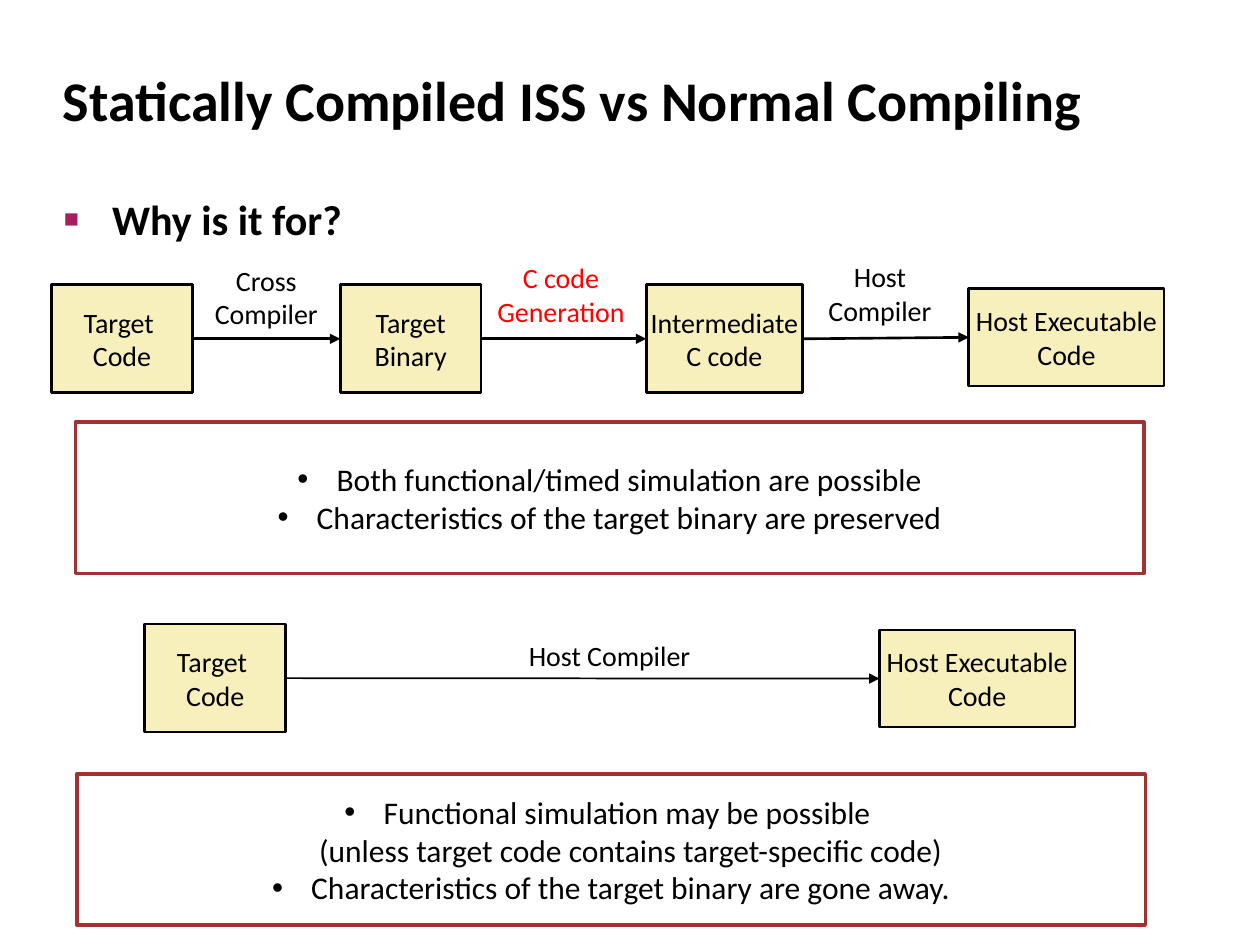
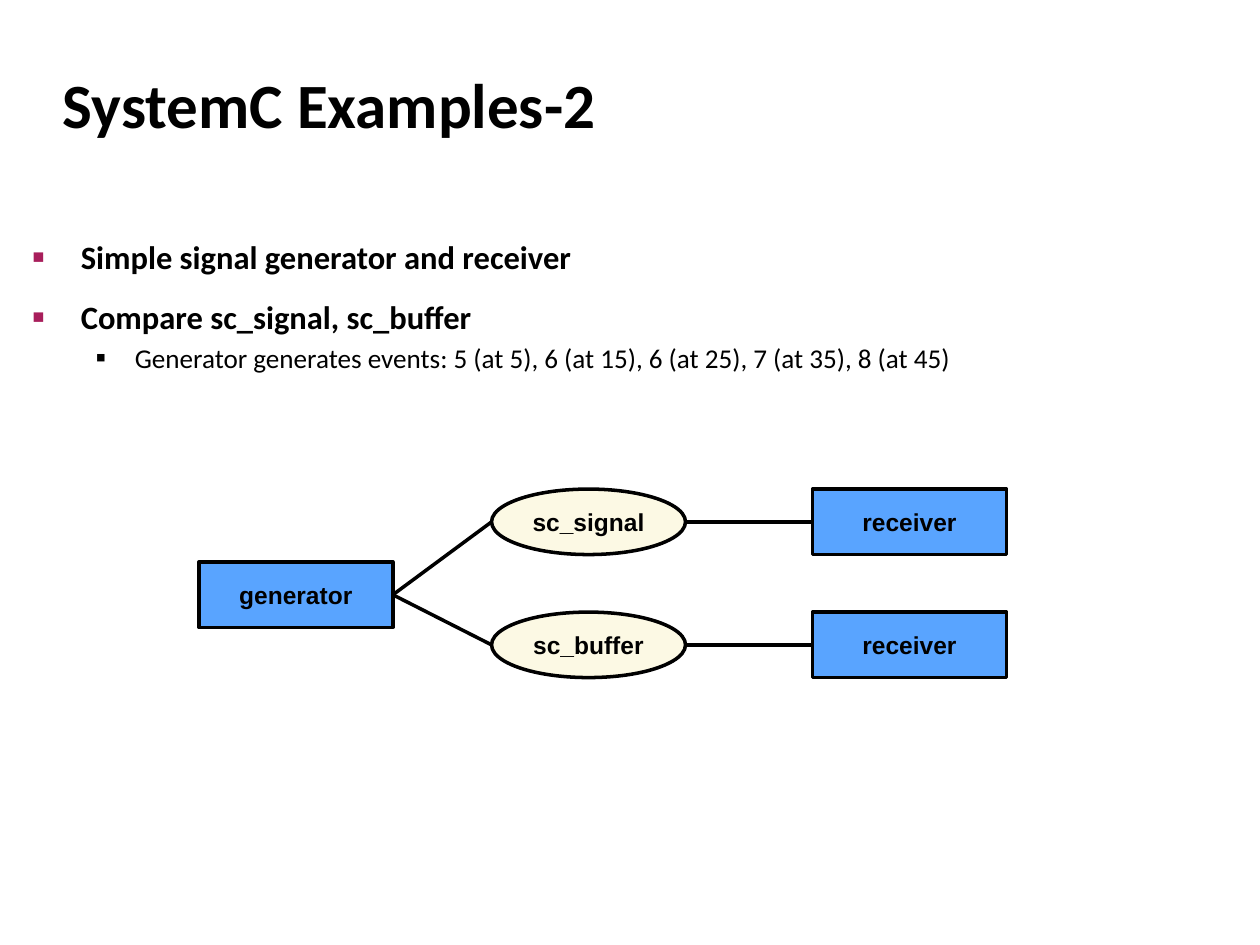
from dataclasses import dataclass
from typing import Optional

from lxml import etree
from pptx import Presentation
from pptx import util as u
from pptx.dml.color import RGBColor
from pptx.enum import shapes, text
from pptx.oxml.ns import qn

BLACK, WHITE, RED = "000000", "FFFFFF", "FF0000"
CREAM, IVORY, BLUE = "F7F0BC", "FCF9E4", "59A4FF"
BROWN, PLUM = "A03232", "A81E5B"
RECT, OVAL = shapes.MSO_SHAPE.RECTANGLE, shapes.MSO_SHAPE.OVAL
LEFT, MID = text.PP_ALIGN.LEFT, text.PP_ALIGN.CENTER


@dataclass(frozen=True)
class Face:
    size: float
    name: str = "Calibri"
    bold: bool = False
    tint: str = BLACK


@dataclass(frozen=True)
class Mark:
    char: str
    left: float
    hang: float
    scale: int = 100
    tint: str = BLACK


@dataclass(frozen=True)
class Style:
    face: Face
    fill: str
    edge: str = BLACK
    width: float = 1.5
    kind: int = RECT
    inset: Optional[float] = 0
    mark: Optional[Mark] = None


@dataclass(frozen=True)
class Box:
    words: str
    x: float
    y: float
    w: float
    h: float
    style: Style


@dataclass(frozen=True)
class Label:
    words: str
    x: float
    y: float
    w: float
    h: float
    tint: str = BLACK


@dataclass(frozen=True)
class Item:
    words: str
    face: Face
    mark: Mark
    before: float = 12


SQUARE = Mark("■", 0.97, 0.97, 60, PLUM)
SMALL = Mark("▪", 2.06, 0.79, 110)
DOT = Mark("•", 0.79, 0.79)
STEP = Style(Face(16), CREAM)
NOTE = Style(Face(18), WHITE, BROWN, 2, mark=DOT)
NODE = Style(Face(14, "Arial", True), BLUE, width=2, inset=None)
PIPE = Style(NODE.face, IVORY, width=2, kind=OVAL, inset=None)


def color(code: str) -> RGBColor:
    return RGBColor.from_string(code)


def bullet(para, mark: Mark) -> None:
    props = para._p.get_or_add_pPr()
    props.set("marL", str(u.Cm(mark.left)))
    props.set("indent", str(-u.Cm(mark.hang)))
    tint = etree.SubElement(props, qn("a:buClr"))
    etree.SubElement(tint, qn("a:srgbClr"), val=mark.tint)
    etree.SubElement(props, qn("a:buSzPct"), val=str(mark.scale * 1000))
    etree.SubElement(props, qn("a:buFont"), typeface="Arial")
    etree.SubElement(props, qn("a:buChar"), char=mark.char)


def dress(para, face: Face, align=LEFT, mark: Optional[Mark] = None) -> None:
    if mark:
        bullet(para, mark)
    para.alignment = align
    font = para.font
    font.size, font.name, font.bold = u.Pt(face.size), face.name, face.bold
    font.color.rgb = color(face.tint)


def field(slide, x: float, y: float, w: float, h: float, wrap: bool = True):
    frame = slide.shapes.add_textbox(u.Cm(x), u.Cm(y), u.Cm(w), u.Cm(h)).text_frame
    frame.word_wrap = wrap
    return frame


def title(slide, words: str, size: float) -> None:
    frame = field(slide, 1.02, 1.07, 23.34, 2.11)
    frame.margin_top = u.Cm(0.25)
    frame.text = words
    dress(frame.paragraphs[0], Face(size, bold=True))


def body(slide, x: float, y: float, w: float, h: float, items: list[Item]) -> None:
    frame = field(slide, x, y, w, h)
    frame.text = "\n".join(item.words for item in items)
    for para, item in zip(frame.paragraphs, items):
        para.space_before = u.Pt(item.before)
        dress(para, item.face, mark=item.mark)


def draw(slide, box: Box):
    style = box.style
    shape = slide.shapes.add_shape(
        style.kind, u.Cm(box.x), u.Cm(box.y), u.Cm(box.w), u.Cm(box.h))
    shape.shadow.inherit = False
    shape.fill.solid()
    shape.fill.fore_color.rgb = color(style.fill)
    shape.line.color.rgb = color(style.edge)
    shape.line.width = u.Pt(style.width)
    frame = shape.text_frame
    frame.word_wrap = True
    frame.vertical_anchor = text.MSO_ANCHOR.MIDDLE
    if style.inset is not None:
        frame.margin_left = frame.margin_right = u.Cm(style.inset)
        frame.margin_top = frame.margin_bottom = u.Cm(style.inset)
    frame.text = box.words
    for para in frame.paragraphs:
        dress(para, style.face, MID, style.mark)
    return shape


def tag(slide, label: Label) -> None:
    frame = field(slide, label.x, label.y, label.w, label.h, False)
    frame.text = label.words
    dress(frame.paragraphs[0], Face(16, tint=label.tint), MID)


def link(slide, start, end, width: float, arrow: bool = False) -> None:
    line = slide.shapes.add_connector(
        shapes.MSO_CONNECTOR.STRAIGHT,
        start.left + start.width, start.top + start.height // 2,
        end.left, end.top + end.height // 2)
    if start.auto_shape_type == RECT:
        line.begin_connect(start, 3)
    if end.auto_shape_type == RECT:
        line.end_connect(end, 1)
    line.line.color.rgb = color(BLACK)
    line.line.width = u.Pt(width)
    if arrow:
        etree.SubElement(line.line._get_or_add_ln(), qn("a:tailEnd"), type="triangle")
    etree.SubElement(line._element.spPr, qn("a:effectLst"))


def compare(slide) -> None:
    title(slide, "Statically Compiled ISS vs Normal Compiling", 32)
    body(slide, 1.04, 3.78, 23.32, 1.6,
         [Item("Why is it for?", Face(24, bold=True), SQUARE)])

    source, final = "Target \vCode", "Host Executable Code"
    chain = [draw(slide, box) for box in (
        Box(source, 1.04, 5.74, 2.84, 2.18, STEP),
        Box("Target Binary", 6.86, 5.74, 2.84, 2.18, STEP),
        Box("Intermediate\vC code", 13.03, 5.74, 3.15, 2.18, STEP),
        Box(final, 19.53, 5.82, 3.94, 1.96, STEP))]
    for start, end in zip(chain, chain[1:]):
        link(slide, start, end, 1.5, True)

    first = draw(slide, Box(source, 2.92, 12.58, 2.84, 2.18, STEP))
    last = draw(slide, Box(final, 17.73, 12.7, 3.94, 1.96, STEP))
    link(slide, first, last, 1, True)

    for label in (
            Label("Cross\vCompiler", 4.06, 5.18, 2.62, 1.63),
            Label("C code\vGeneration", 9.75, 5.13, 3.12, 1.63, RED),
            Label("Host\vCompiler", 16.43, 5.11, 2.62, 1.63),
            Label("Host Compiler", 10.36, 12.75, 3.86, 0.94)):
        tag(slide, label)

    draw(slide, Box(
        "Both functional/timed simulation are possible\n"
        "Characteristics of the target binary are preserved",
        1.52, 8.51, 21.54, 3.05, NOTE))
    draw(slide, Box(
        "Functional simulation may be possible \v"
        "(unless target code contains target-specific code)\n"
        "Characteristics of the target binary are gone away.",
        1.55, 15.6, 21.54, 3.05, NOTE))


def signals(slide) -> None:
    title(slide, "SystemC Examples-2", 36)
    head = Face(18.6, bold=True)
    body(slide, 0.41, 4.65, 24.56, 2.95, [
        Item("Simple signal generator and receiver", head, SQUARE),
        Item("Compare sc_signal, sc_buffer", head, SQUARE),
        Item("Generator generates events: 5 (at 5), 6 (at 15), 6 (at 25), "
             "7 (at 35), 8 (at 45)", Face(15.5), SMALL, 3)])

    wide, high = 3.91, 1.32
    maker = draw(slide, Box("generator", 4.01, 11.33, wide, high, NODE))
    for words, y in (("sc_signal", 9.86), ("sc_buffer", 12.34)):
        pipe = draw(slide, Box(words, 9.91, y, wide, high, PIPE))
        sink = draw(slide, Box("receiver", 16.38, y, wide, high, NODE))
        link(slide, maker, pipe, 2)
        link(slide, pipe, sink, 2)


def main() -> None:
    deck = Presentation()
    deck.slide_width, deck.slide_height = u.Cm(25.4), u.Cm(19.05)
    for build in (compare, signals):
        build(deck.slides.add_slide(deck.slide_layouts[6]))
    deck.save("out.pptx")


if __name__ == "__main__":
    main()
